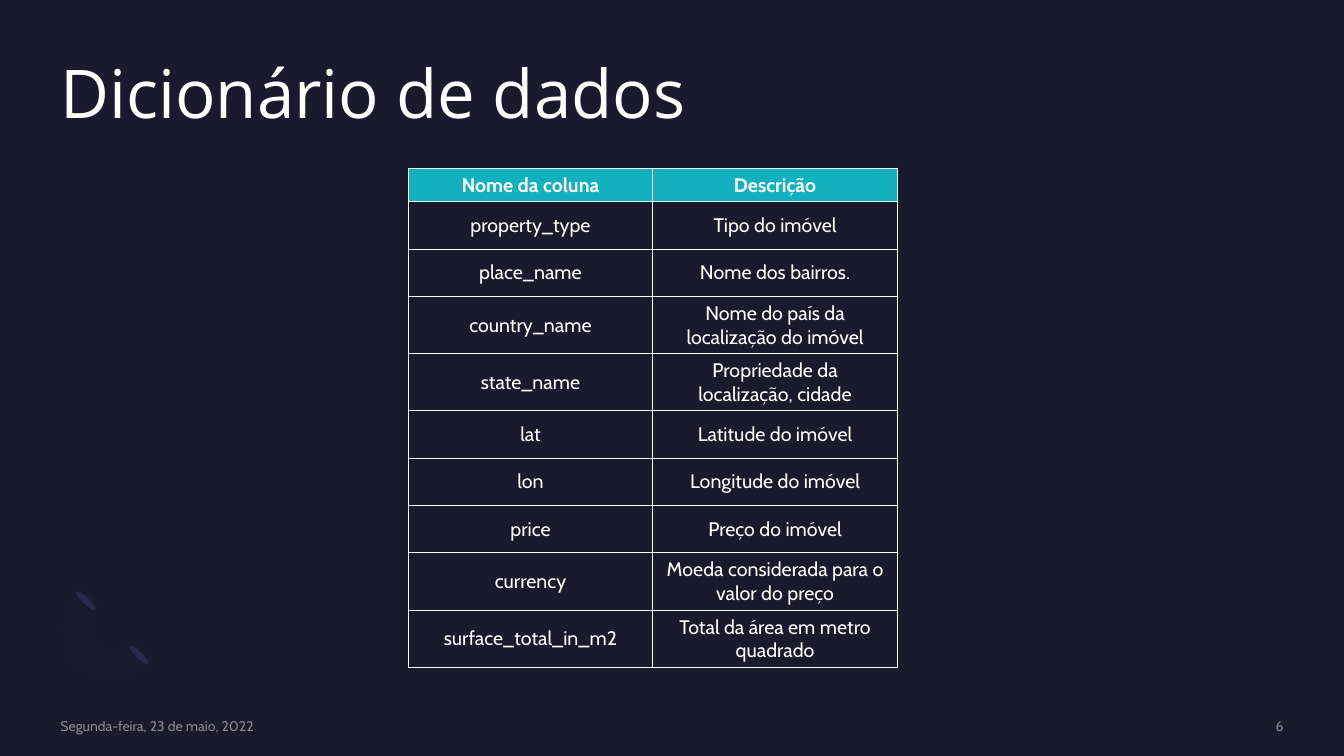
from pptx import Presentation
from pptx.util import Pt
from pptx.dml.color import RGBColor
from pptx.enum.shapes import MSO_SHAPE
from pptx.enum.text import MSO_ANCHOR, PP_ALIGN
from pptx.oxml import parse_xml
from pptx.oxml.ns import nsdecls, qn
from lxml.etree import SubElement

BACKGROUND = RGBColor(0x1B, 0x19, 0x2E)
WHITE = RGBColor(0xFF, 0xFF, 0xFF)
TEAL = RGBColor(0x12, 0xB1, 0xBF)
GRAY = RGBColor(0xA6, 0xA6, 0xA6)
INDIGO = RGBColor(0x2C, 0x28, 0x4A)
LAVENDER = RGBColor(0x77, 0x71, 0xB2)

TITLE = "Dicionário de dados"
DATE = "Segunda-feira, 23 de maio, 2022"
PAGE = "6"
ROWS = [
    ("Nome da coluna", "Descrição"),
    ("property_type", "Tipo do imóvel"),
    ("place_name", "Nome dos bairros."),
    ("country_name", "Nome do país da localização do imóvel"),
    ("state_name", "Propriedade da localização, cidade"),
    ("lat", "Latitude do imóvel"),
    ("lon", "Longitude do imóvel"),
    ("price", "Preço do imóvel"),
    ("currency", "Moeda considerada para o valor do preço"),
    ("surface_total_in_m2", "Total da área em metro quadrado"),
]
HEADER_HEIGHT, ROW_HEIGHT, TALL_HEIGHT = 19, 33.8, 36
TALL_TEXT = 30
TABLE_LEFT, TABLE_TOP, COLUMN_WIDTH = 291.6, 120.2, 174.7
MARGIN, SLIDE_WIDTH, SLIDE_HEIGHT = 43.2, 960, 540
FOOTER_TOP, FOOTER_HEIGHT = 512.6, 12.2

RING_ENDS = [(97.2, 458.6), (59, 419.8)]
RING_CURVES = [
    [(54.7, 474.5), (40.3, 460.1), (41.8, 435.6), (58.3, 419)],
    [(71.3, 432), (62.6, 439.9), (61.9, 452.9), (69.1, 459.4)],
    [(69.1, 459.4), (76.3, 466.6), (88.6, 465.8), (97.2, 457.9)],
    [(109.4, 470.9), (93.6, 486.7), (68.4, 488.9), (54.7, 474.5)],
]


def write_text(frame, text, size, font="Cabin", color=WHITE, bold=False,
               align=PP_ALIGN.LEFT, spacing=None, opacity=None):
    paragraph = frame.paragraphs[0]
    paragraph.alignment = align
    if spacing:
        paragraph.line_spacing = spacing
    run = paragraph.add_run()
    run.text = text
    run.font.name, run.font.size, run.font.bold = font, Pt(size), bold
    run.font.color.rgb = color
    if opacity:
        set_opacity(run._r, opacity)


def set_opacity(element, percent):
    for color in element.iter(qn("a:srgbClr")):
        SubElement(color, qn("a:alpha")).set("val", str(percent * 1000))


def add_text_box(text, left, top, width, height, anchor, **format):
    frame = slide.shapes.add_textbox(Pt(left), Pt(top), Pt(width), Pt(height)).text_frame
    frame.margin_left = frame.margin_top = frame.margin_right = frame.margin_bottom = 0
    frame.word_wrap = True
    frame.vertical_anchor = anchor
    write_text(frame, text, **format)


def paint(shape, color):
    shape.shadow.inherit = False
    shape.fill.solid()
    shape.fill.fore_color.rgb = color
    shape.line.fill.background()


def curve_points(curve, steps=12):
    for step in range(steps + 1):
        t = step / steps
        weights = ((1 - t) ** 3, 3 * t * (1 - t) ** 2, 3 * t * t * (1 - t), t ** 3)
        yield tuple(sum(w * point[axis] for w, point in zip(weights, curve))
                    for axis in (0, 1))


def add_borders(cell):
    properties = cell._tc.get_or_add_tcPr()
    for index, side in enumerate("LRTB"):
        properties.insert(index, parse_xml(
            f'<a:ln{side} {nsdecls("a")} w="{Pt(0.75)}"><a:solidFill>'
            f'<a:srgbClr val="{WHITE}"/></a:solidFill></a:ln{side}>'))


def add_ring():
    for left, top in RING_ENDS:
        ellipse = slide.shapes.add_shape(MSO_SHAPE.OVAL, Pt(left), Pt(top), Pt(4.5), Pt(18.7))
        ellipse.rotation = 135
        paint(ellipse, INDIGO)
    points = [point for curve in RING_CURVES for point in curve_points(curve)]
    builder = slide.shapes.build_freeform(*points[0], scale=Pt(1))
    builder.add_line_segments(points[1:], close=True)
    band = builder.convert_to_shape()
    paint(band, LAVENDER)
    set_opacity(band.fill._xPr, 1)


def add_dictionary():
    heights = [HEADER_HEIGHT] + [TALL_HEIGHT if len(description) >= TALL_TEXT else ROW_HEIGHT
                                 for _, description in ROWS[1:]]
    table = slide.shapes.add_table(len(ROWS), 2, Pt(TABLE_LEFT), Pt(TABLE_TOP),
                                   Pt(2 * COLUMN_WIDTH), Pt(sum(heights))).table
    table.horz_banding = False
    for column in table.columns:
        column.width = Pt(COLUMN_WIDTH)
    for row_index, (row, texts) in enumerate(zip(table.rows, ROWS)):
        row.height = Pt(heights[row_index])
        header = row_index == 0
        for cell, text in zip(row.cells, texts):
            cell.vertical_anchor = MSO_ANCHOR.MIDDLE
            if header:
                cell.fill.solid()
                cell.fill.fore_color.rgb = TEAL
            else:
                cell.fill.background()
            add_borders(cell)
            write_text(cell.text_frame, text, size=14, bold=header, align=PP_ALIGN.CENTER)


presentation = Presentation()
presentation.slide_width, presentation.slide_height = Pt(SLIDE_WIDTH), Pt(SLIDE_HEIGHT)
slide = presentation.slides.add_slide(presentation.slide_layouts[6])
slide.background.fill.solid()
slide.background.fill.fore_color.rgb = BACKGROUND

add_ring()
add_text_box(TITLE, MARGIN, MARGIN, SLIDE_WIDTH - 2 * MARGIN, 57.6, MSO_ANCHOR.TOP,
             size=48, font="Open Sans", spacing=0.9)
add_dictionary()
for text, left, width, align in [
    (DATE, MARGIN, 207.4, PP_ALIGN.LEFT),
    (PAGE, SLIDE_WIDTH - MARGIN - 133.2, 133.2, PP_ALIGN.RIGHT),
]:
    add_text_box(text, left, FOOTER_TOP, width, FOOTER_HEIGHT, MSO_ANCHOR.MIDDLE,
                 size=10, color=GRAY, align=align, opacity=80)

presentation.save("out.pptx")
